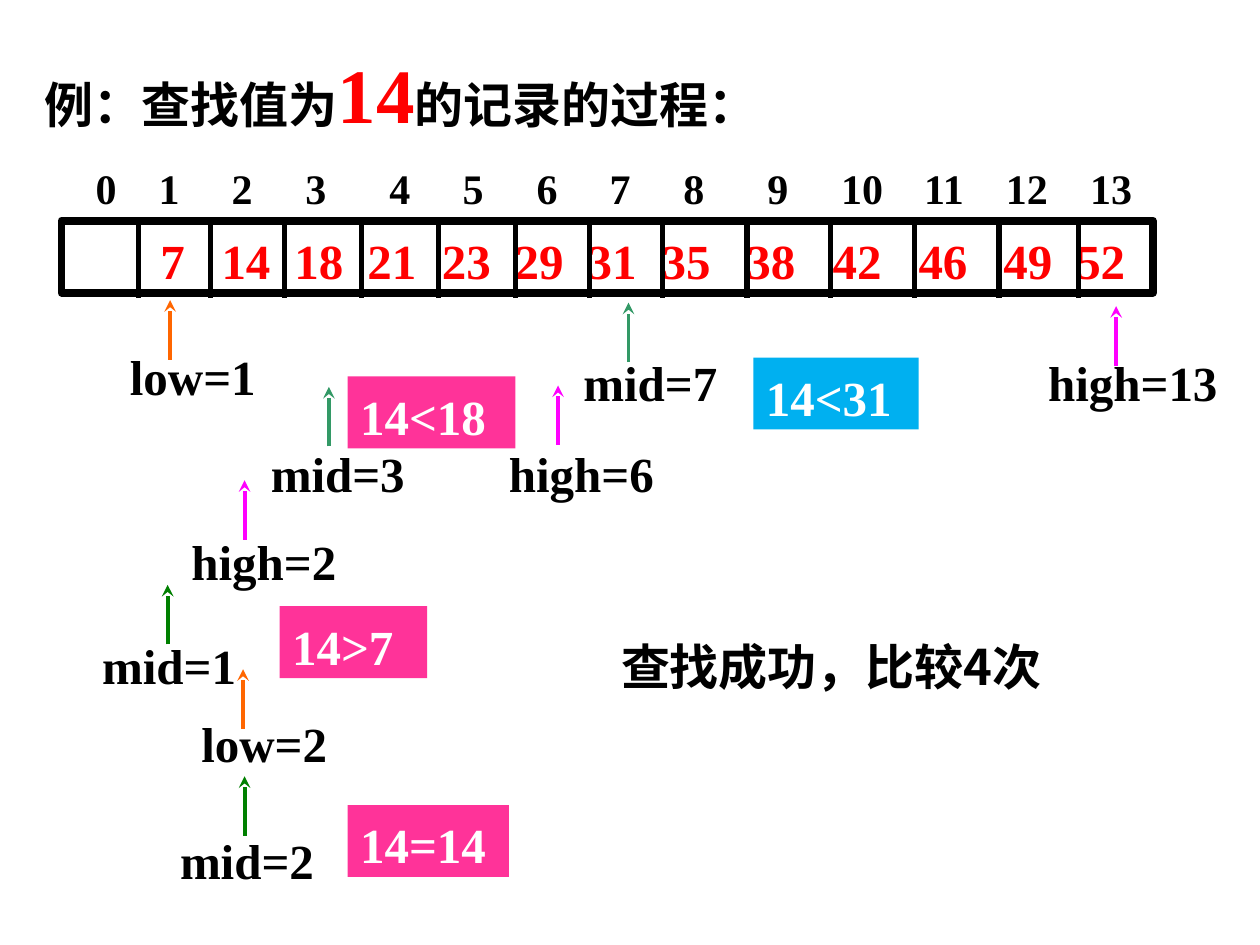
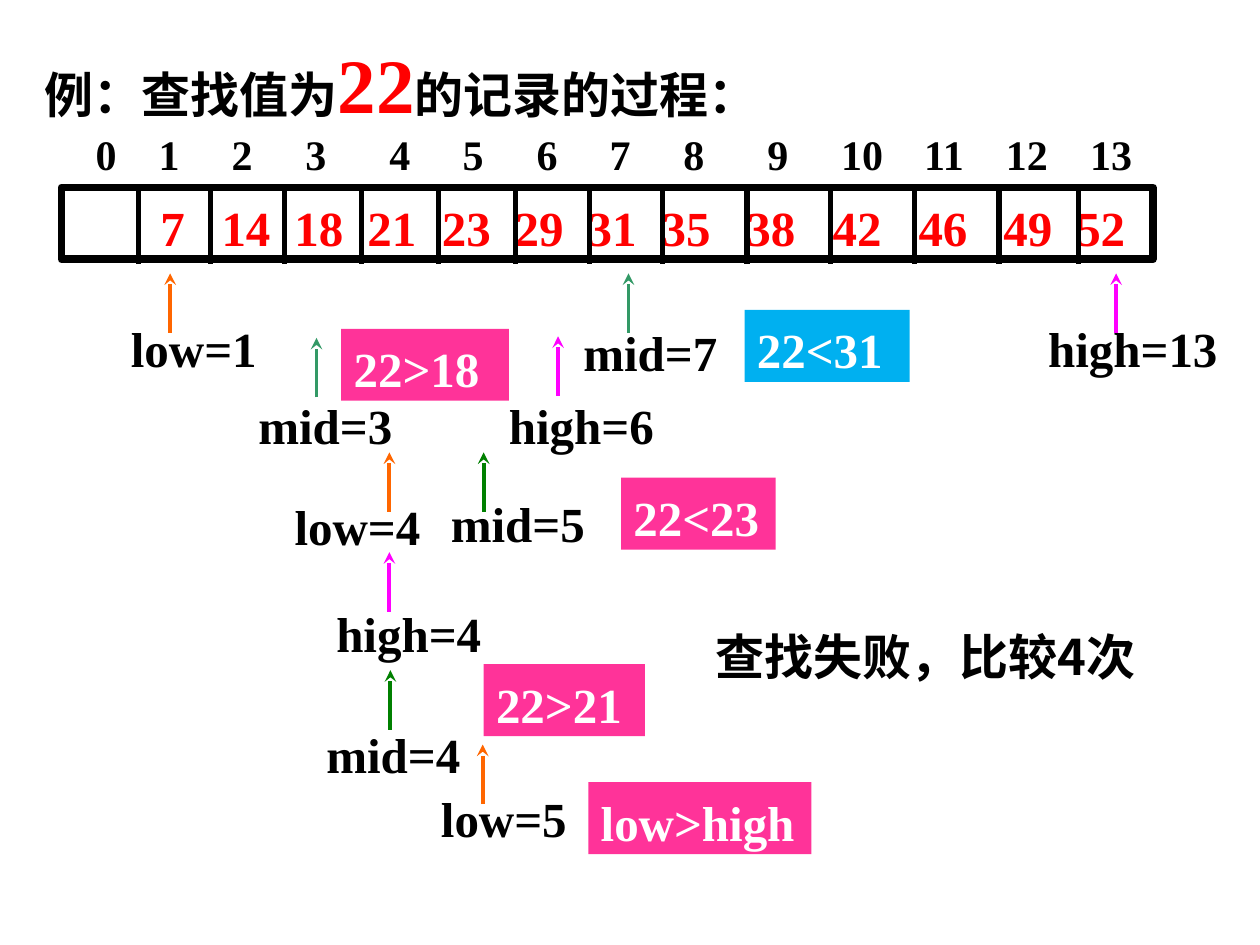
import pptx
import pptx.util
import pptx.dml.color
import pptx.enum.shapes
import pptx.enum.text
import pptx.oxml
import pptx.oxml.ns
from pptx.util import Cm

LATIN = "Times New Roman"
CHINESE = "Noto Sans CJK SC"
BLACK, WHITE, RED = "000000", "FFFFFF", "FF0000"
ORANGE, MAGENTA, TEAL, GREEN = "FF6600", "FF00FF", "339966", "008000"
PINK, BLUE = "FF3399", "00B0F0"

INDEX_TABS = (1.48, 2.95, 4.44, 6.13, 7.61, 9.1, 10.57, 12.06, 13.75, 15.45, 17.1, 18.77, 20.47)
VALUE_TABS = (1.99, 3.47, 4.94, 6.41, 7.91, 9.38, 10.85, 12.34, 14.05, 15.79, 17.52, 19.23, 20.7)
DIVIDERS = (2.79, 4.24, 5.74, 7.29, 8.84, 10.39, 11.89, 13.36, 15.06, 16.74, 18.44, 20.14, 21.74)
VALUES = (7, 14, 18, 21, 23, 29, 31, 35, 38, 42, 46, 49, 52)
ARROW_LENGTH = 1.2
BOX_HEIGHT = 1.45


def rgb(value):
    return pptx.dml.color.RGBColor.from_string(value)


def add_text(paragraph, text, size=28, font=LATIN, color=BLACK):
    run = paragraph.add_run()
    run.text = text
    run.font.size = pptx.util.Pt(size)
    run.font.name = font
    run.font.bold = True
    run.font.color.rgb = rgb(color)
    east_asian = pptx.oxml.parse_xml(
        f'<a:ea {pptx.oxml.ns.nsdecls("a")} typeface="{font}"/>')
    run.font._element.find(pptx.oxml.ns.qn("a:latin")).addnext(east_asian)


def prepare_frame(shape, left=0.0, top=0.0):
    frame = shape.text_frame
    frame.word_wrap = True
    frame.auto_size = pptx.enum.text.MSO_AUTO_SIZE.NONE
    frame.vertical_anchor = pptx.enum.text.MSO_ANCHOR.TOP
    frame.margin_left, frame.margin_top = Cm(left), Cm(top)
    frame.margin_right = frame.margin_bottom = 0
    paragraph = frame.paragraphs[0]
    paragraph.alignment = pptx.enum.text.PP_ALIGN.LEFT
    return paragraph


def add_tabs(paragraph, positions):
    stops = "".join(f'<a:tab pos="{Cm(position)}" algn="ctr"/>' for position in positions)
    paragraph._p.get_or_add_pPr().append(pptx.oxml.parse_xml(
        f'<a:tabLst {pptx.oxml.ns.nsdecls("a")}>{stops}</a:tabLst>'))


def add_line(shapes, x, start, end, color, width, arrow=False):
    line = shapes.add_connector(
        pptx.enum.shapes.MSO_CONNECTOR.STRAIGHT, Cm(x), Cm(start), Cm(x), Cm(end))
    line.line.color.rgb = rgb(color)
    line.line.width = pptx.util.Pt(width)
    namespace = pptx.oxml.ns.nsdecls("a")
    if arrow:
        line.line._get_or_add_ln().append(
            pptx.oxml.parse_xml(f'<a:tailEnd {namespace} type="stealth"/>'))
    line._element.spPr.append(pptx.oxml.parse_xml(f"<a:effectLst {namespace}/>"))


def add_box(slide, left, top, width, fill):
    box = slide.shapes.add_shape(
        pptx.enum.shapes.MSO_SHAPE.RECTANGLE, Cm(left), Cm(top), Cm(width), Cm(BOX_HEIGHT))
    box.shadow.inherit = False
    box.fill.solid()
    box.fill.fore_color.rgb = rgb(fill)
    box.line.fill.background()
    return box


def add_title(slide, top, target):
    title = slide.shapes.title
    title.left, title.top, title.width, title.height = Cm(0.64), Cm(top), Cm(21.79), Cm(2.13)
    paragraph = prepare_frame(title, 0.25, 0.3)
    add_text(paragraph, "例：查找值为", font=CHINESE)
    add_text(paragraph, str(target), size=44, color=RED)
    add_text(paragraph, "的记录的过程：", font=CHINESE)


def add_array(slide, index_top, top):
    indexes = slide.shapes.add_textbox(Cm(1.78), Cm(index_top), Cm(22.28), Cm(1.07))
    paragraph = prepare_frame(indexes, 0.15, 0.05)
    add_tabs(paragraph, INDEX_TABS)
    add_text(paragraph, "\t".join(str(index) for index in range(14)), size=24)

    cells = add_box(slide, 1.24, top, 22, WHITE)
    cells.line.color.rgb = rgb(BLACK)
    cells.line.width = pptx.util.Pt(4.5)
    paragraph = prepare_frame(cells, 0.25, 0.2)
    add_tabs(paragraph, VALUE_TABS)
    add_text(paragraph, "".join(f"\t{value}" for value in VALUES), color=RED)
    for x in DIVIDERS:
        add_line(slide.shapes, x, top + 0.08, top + 1.55, BLACK, 3)


def add_pointer(slide, text, color, left, top, arrow_x, tip):
    shapes = slide.shapes.add_group_shape().shapes
    label = shapes.add_textbox(Cm(left), Cm(top), Cm(3.6), Cm(1))
    paragraph = prepare_frame(label)
    paragraph.line_spacing = 0.8
    add_text(paragraph, text)
    add_line(shapes, arrow_x, tip + ARROW_LENGTH, tip, color, 2.25, arrow=True)


def add_comparison(slide, text, fill, left, top, width):
    box = add_box(slide, left, top, width, fill)
    add_text(prepare_frame(box, 0.25, 0.2), text, color=WHITE)


def add_result(slide, text, left, top):
    box = slide.shapes.add_textbox(Cm(left), Cm(top), Cm(9.78), Cm(BOX_HEIGHT))
    add_text(prepare_frame(box, 0.25, 0.13), text, font=CHINESE)


def add_search(presentation, target, title_top, index_top, array_top,
               pointers, comparisons, result):
    slide = presentation.slides.add_slide(presentation.slide_layouts[5])
    add_title(slide, title_top, target)
    add_array(slide, index_top, array_top)
    for pointer in pointers:
        add_pointer(slide, *pointer)
    for comparison in comparisons:
        add_comparison(slide, *comparison)
    add_result(slide, *result)


def main():
    presentation = pptx.Presentation()
    presentation.slide_width, presentation.slide_height = Cm(25.4), Cm(19.05)
    add_search(
        presentation, 14, 0.64, 3.23, 4.45,
        pointers=(
            ("low=1", ORANGE, 2.62, 7.21, 3.43, 6.05),
            ("high=13", MAGENTA, 21.13, 7.34, 22.5, 6.17),
            ("mid=7", TEAL, 11.76, 7.34, 12.67, 6.1),
            ("high=6", MAGENTA, 10.26, 9.17, 11.25, 7.77),
            ("mid=3", TEAL, 5.46, 9.17, 6.63, 7.8),
            ("high=2", MAGENTA, 3.86, 10.95, 4.93, 9.68),
            ("mid=1", GREEN, 2.06, 13.05, 3.38, 11.79),
            ("low=2", ORANGE, 4.06, 14.61, 4.9, 13.49),
            ("mid=2", GREEN, 3.63, 16.97, 4.93, 15.65),
        ),
        comparisons=(
            ("14<31", BLUE, 15.19, 7.21, 3.33),
            ("14<18", PINK, 7.01, 7.59, 3.38),
            ("14>7", PINK, 5.64, 12.22, 2.97),
            ("14=14", PINK, 7.01, 16.23, 3.25),
        ),
        result=("查找成功，比较4次", 12.27, 12.7))
    add_search(
        presentation, 22, 0.43, 2.55, 3.78,
        pointers=(
            ("low=1", ORANGE, 2.64, 6.65, 3.43, 5.51),
            ("high=13", MAGENTA, 21.13, 6.65, 22.5, 5.51),
            ("mid=7", TEAL, 11.76, 6.73, 12.67, 5.51),
            ("high=6", MAGENTA, 10.26, 8.2, 11.25, 6.78),
            ("mid=3", TEAL, 5.21, 8.2, 6.38, 6.81),
            ("high=4", MAGENTA, 6.78, 12.39, 7.85, 11.13),
            ("mid=5", GREEN, 9.09, 10.18, 9.75, 9.12),
            ("low=4", ORANGE, 5.94, 10.24, 7.85, 9.12),
            ("mid=4", GREEN, 6.58, 14.83, 7.87, 13.51),
            ("low=5", ORANGE, 8.89, 16.13, 9.73, 15.01),
        ),
        comparisons=(
            ("22<31", BLUE, 15.01, 6.25, 3.33),
            ("22>18", PINK, 6.88, 6.63, 3.38),
            ("22<23", PINK, 12.52, 9.63, 3.12),
            ("22>21", PINK, 9.75, 13.39, 3.25),
            ("low>high", PINK, 11.86, 15.77, 4.5),
        ),
        result=("查找失败，比较4次", 14.17, 12.5))
    presentation.save("out.pptx")


if __name__ == "__main__":
    main()
